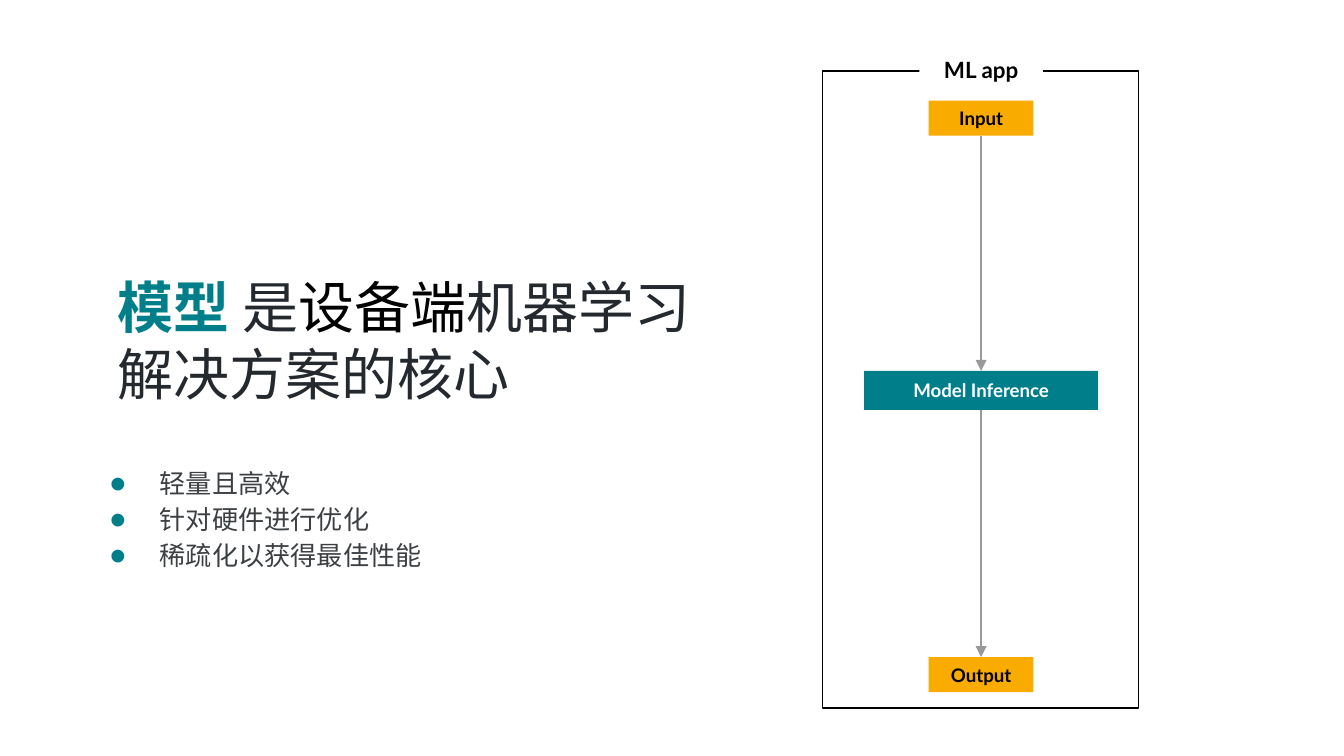
from lxml import etree
from pptx import Presentation
from pptx.dml.color import RGBColor
from pptx.enum import shapes, text
from pptx.oxml import ns
from pptx.util import Inches, Pt

COLORS = {
    "teal": "007F8B", "amber": "F9AB00", "black": "000000", "white": "FFFFFF",
    "ink": "24292F", "body": "3C4043", "arrow": "999999",
}
TITLE = [
    [("模型 ", "Lato", "teal", True), ("是", "Arial", "ink", False),
     ("设备端", "Lato", "black", False), ("机器学习", "Arial", "ink", False)],
    [("解决方案的核心", "Arial", "ink", False)],
]
BULLETS = ["轻量且高效", "针对硬件进行优化", "稀疏化以获得最佳性能"]
FRAME = (6.12, 0.53, 2.35, 4.74)
CENTER = 7.3
FRAME_LABEL = ("ML app", 0.39, 0.92, 0.26, "white", "black", 12)
STEPS = [
    ("Input", 0.75, 0.78, 0.26, "amber", "black", 10),
    ("Model Inference", 2.76, 1.74, 0.29, "teal", "white", 10),
    ("Output", 4.89, 0.78, 0.26, "amber", "black", 10),
]


def rgb(name):
    return RGBColor.from_string(COLORS[name])


def set_font(font, name, size, color, bold=False):
    font.name, font.size, font.bold = name, Pt(size), bold
    font.color.rgb = rgb(color)


def set_margins(frame):
    frame.margin_left = frame.margin_right = Inches(0.1)
    frame.margin_top = frame.margin_bottom = Inches(0.1)
    frame.word_wrap = True


def add_text_frame(slide, *box):
    frame = slide.shapes.add_textbox(*map(Inches, box)).text_frame
    set_margins(frame)
    return frame


def add_paragraphs(frame, items):
    for index, item in enumerate(items):
        yield (frame.add_paragraph() if index else frame.paragraphs[0]), item


def add_rectangle(slide, *box):
    shape = slide.shapes.add_shape(shapes.MSO_SHAPE.RECTANGLE, *map(Inches, box))
    shape.shadow.inherit = False
    return shape


def add_label(slide, label, top, width, height, fill, color, size):
    shape = add_rectangle(slide, CENTER - width / 2, top, width, height)
    shape.fill.solid()
    shape.fill.fore_color.rgb = rgb(fill)
    shape.line.fill.background()
    frame = shape.text_frame
    set_margins(frame)
    frame.vertical_anchor = text.MSO_ANCHOR.MIDDLE
    paragraph = frame.paragraphs[0]
    paragraph.text = label
    paragraph.alignment = text.PP_ALIGN.CENTER
    set_font(paragraph.font, "Lato", size, color, True)


def add_arrow(slide, start, end):
    connector = slide.shapes.add_connector(
        shapes.MSO_CONNECTOR.STRAIGHT,
        Inches(CENTER), Inches(start), Inches(CENTER), Inches(end))
    connector.line.color.rgb = rgb("arrow")
    connector.line.width = Pt(0.75)
    line = connector.line._get_or_add_ln()
    etree.SubElement(line, ns.qn("a:tailEnd"), type="triangle", w="med", len="med")
    etree.SubElement(connector._element.spPr, ns.qn("a:effectLst"))


def add_bullet(paragraph):
    properties = paragraph._p.get_or_add_pPr()
    properties.set("marL", str(Inches(0.5)))
    properties.set("indent", str(Inches(-0.37)))
    color = etree.SubElement(properties, ns.qn("a:buClr"))
    etree.SubElement(color, ns.qn("a:srgbClr"), val=COLORS["teal"])
    etree.SubElement(properties, ns.qn("a:buFont"), typeface="Lato")
    etree.SubElement(properties, ns.qn("a:buChar"), char="●")


def main():
    presentation = Presentation()
    presentation.slide_width = Inches(10)
    presentation.slide_height = Inches(10 * 9 / 16)
    slide = presentation.slides.add_slide(presentation.slide_layouts[6])

    title = add_text_frame(slide, 0.78, 1.93, 4.97, 1.26)
    for paragraph, runs in add_paragraphs(title, TITLE):
        for words, font, color, bold in runs:
            run = paragraph.add_run()
            run.text = words
            set_font(run.font, font, 30, color, bold)

    app_frame = add_rectangle(slide, *FRAME)
    app_frame.fill.background()
    app_frame.line.color.rgb = rgb("black")
    app_frame.line.width = Pt(0.75)

    for step, following in zip(STEPS, STEPS[1:]):
        add_arrow(slide, step[1] + step[3], following[1])
    for label in STEPS + [FRAME_LABEL]:
        add_label(slide, *label)

    benefits = add_text_frame(slide, 0.59, 3.34, 4.25, 1.42)
    for paragraph, words in add_paragraphs(benefits, BULLETS):
        paragraph.text = words
        add_bullet(paragraph)
        paragraph.line_spacing = 1.15
        set_font(paragraph.font, "Lato", 14, "body")

    presentation.save("out.pptx")


if __name__ == "__main__":
    main()
